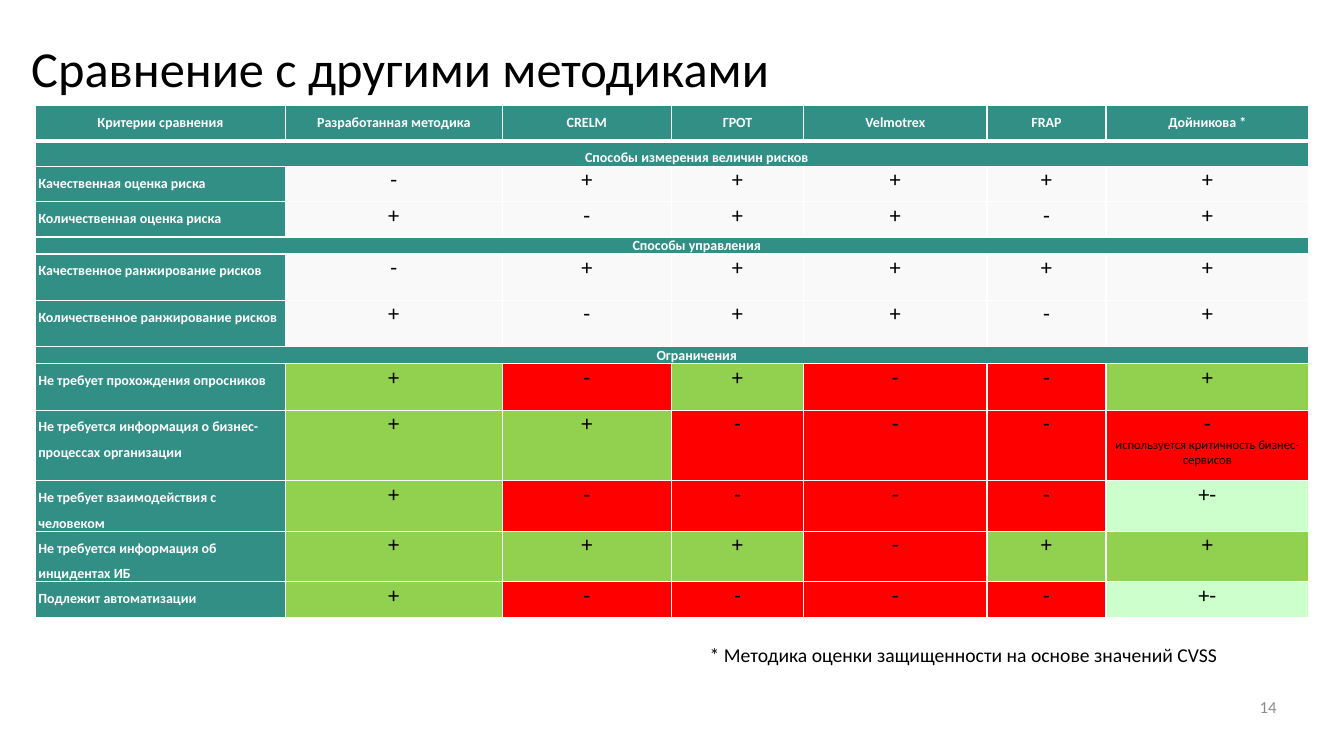
from pptx import Presentation
from pptx.dml.color import RGBColor
from pptx.enum.text import MSO_ANCHOR, PP_ALIGN
from pptx.oxml import parse_xml
from pptx.oxml.ns import nsdecls
from pptx.util import Inches, Pt

TITLE = "Сравнение с другими методиками"
FOOTNOTE = "* Методика оценки защищенности на основе значений CVSS"
PAGE_NUMBER = "14"
HEADERS = ["Критерии сравнения", "Разработанная методика", "CRELM", "ГРОТ",
           "Velmotrex", "FRAP", "Дойникова *"]
SECTIONS = [
    ("Способы измерения величин рисков", 0.25, 1.5, False, [
        ("Качественная оценка риска", 0.35, "- + + + + +"),
        ("Количественная оценка риска", 0.35, "+ - + + - +"),
    ]),
    ("Способы управления", 0.17, 1.0, False, [
        ("Качественное ранжирование рисков", 0.46, "- + + + + +"),
        ("Количественное ранжирование рисков", 0.46, "+ - + + - +"),
    ]),
    ("Ограничения", 0.17, 1.0, True, [
        ("Не требует прохождения опросников", 0.46, "+ - + - - +"),
        ("Не требуется информация о бизнес-процессах организации", 0.7, "+ + - - - -"),
        ("Не требует взаимодействия с человеком", 0.5, "+ - - - - +-"),
        ("Не требуется информация об инцидентах ИБ", 0.5, "+ + + - + +"),
        ("Подлежит автоматизации", 0.35, "+ - - - - +-"),
    ]),
]
REMARKS = {("Не требуется информация о бизнес-процессах организации", 6):
           "используется критичность бизнес-сервисов"}
COLUMN_WIDTHS = [2.48, 2.15, 1.68, 1.31, 1.82, 1.18, 2.01]
HEADER_HEIGHT = 0.35
SECTION_INDENT = Inches(0.49)

FONT = "Calibri"
BLACK = RGBColor(0x00, 0x00, 0x00)
WHITE = RGBColor(0xFF, 0xFF, 0xFF)
GRAY = RGBColor(0x8C, 0x8C, 0x8C)
TEAL = RGBColor(0x31, 0x8F, 0x85)
PALE = RGBColor(0xF9, 0xF9, 0xF9)
MARK_FILLS = {"+": RGBColor(0x92, 0xD0, 0x50), "-": RGBColor(0xFF, 0x00, 0x00),
              "+-": RGBColor(0xCC, 0xFF, 0xCC)}


def style(para, size, color, bold=False, align=PP_ALIGN.LEFT, spacing=1.0):
    para.font.name = FONT
    para.font.size = Pt(size)
    para.font.color.rgb = color
    para.font.bold = bold
    para.alignment = align
    para.line_spacing = spacing


def set_borders(cell, bottom=1):
    properties = cell._tc.get_or_add_tcPr()
    for index, (side, width) in enumerate([("L", 1), ("R", 1), ("T", 1), ("B", bottom)]):
        line = parse_xml(f'<a:ln{side} {nsdecls("a")} w="{Pt(width)}"><a:solidFill>'
                         f'<a:srgbClr val="{WHITE}"/></a:solidFill></a:ln{side}>')
        properties.insert(index, line)


def fill_cell(cell, text, fill, bottom=1):
    cell.margin_left = cell.margin_right = Inches(0.03)
    cell.margin_top = cell.margin_bottom = 0
    cell.fill.solid()
    cell.fill.fore_color.rgb = fill
    set_borders(cell, bottom)
    cell.text = text
    return cell.text_frame.paragraphs[0]


def add_label(page, text, left, top, width, height, size, color, align, wrap):
    box = page.shapes.add_textbox(Inches(left), Inches(top), Inches(width), Inches(height))
    box.text_frame.word_wrap = wrap
    box.text_frame.vertical_anchor = MSO_ANCHOR.MIDDLE
    para = box.text_frame.paragraphs[0]
    para.text = text
    style(para, size, color, align=align)


def add_comparison(page):
    heights = [HEADER_HEIGHT]
    for _, section_height, _, _, criteria in SECTIONS:
        heights += [section_height] + [height for _, height, _ in criteria]
    frame = page.shapes.add_table(len(heights), len(HEADERS), Inches(0.35), Inches(1.05),
                                  Inches(sum(COLUMN_WIDTHS)), Inches(sum(heights)))
    table = frame.table
    table.first_row = table.horz_banding = False
    for column, width in zip(table.columns, COLUMN_WIDTHS):
        column.width = Inches(width)
    for row, height in zip(table.rows, heights):
        row.height = Inches(height)

    for column, header in enumerate(HEADERS):
        para = fill_cell(table.cell(0, column), header, TEAL, bottom=3)
        style(para, 10, WHITE, True, PP_ALIGN.CENTER, 1.5)

    row = 1
    for section, _, spacing, colored, criteria in SECTIONS:
        band = table.cell(row, 0)
        band.merge(table.cell(row, len(HEADERS) - 1))
        para = fill_cell(band, section, TEAL)
        style(para, 10, WHITE, True, PP_ALIGN.CENTER, spacing)
        para._p.get_or_add_pPr().set("indent", str(SECTION_INDENT))
        row += 1
        for criterion, _, marks in criteria:
            para = fill_cell(table.cell(row, 0), criterion, TEAL)
            style(para, 10, WHITE, True, spacing=1.5)
            for column, mark in enumerate(marks.split(), 1):
                cell = table.cell(row, column)
                para = fill_cell(cell, mark, MARK_FILLS[mark] if colored else PALE)
                style(para, 16, BLACK, align=PP_ALIGN.CENTER)
                remark = REMARKS.get((criterion, column))
                if remark:
                    para = cell.text_frame.add_paragraph()
                    para.text = remark
                    style(para, 9, BLACK, align=PP_ALIGN.CENTER)
            row += 1


def main():
    deck = Presentation()
    deck.slide_width = Inches(13.33)
    deck.slide_height = Inches(7.5)
    page = deck.slides.add_slide(deck.slide_layouts[0])
    subtitle = page.placeholders[1].element
    subtitle.getparent().remove(subtitle)

    title = page.shapes.title
    title.left, title.top = Inches(0.21), Inches(0.25)
    title.width, title.height = Inches(12.91), Inches(0.78)
    title.text_frame.text = TITLE
    title.text_frame.vertical_anchor = MSO_ANCHOR.BOTTOM
    style(title.text_frame.paragraphs[0], 36, BLACK, align=PP_ALIGN.JUSTIFY, spacing=0.9)

    add_label(page, PAGE_NUMBER, 12.35, 6.81, 0.41, 0.4, 12, GRAY, PP_ALIGN.RIGHT, True)
    add_comparison(page)
    add_label(page, FOOTNOTE, 6.94, 6.32, 5.28, 0.34, 14, BLACK, PP_ALIGN.LEFT, False)
    deck.save("out.pptx")


if __name__ == "__main__":
    main()
